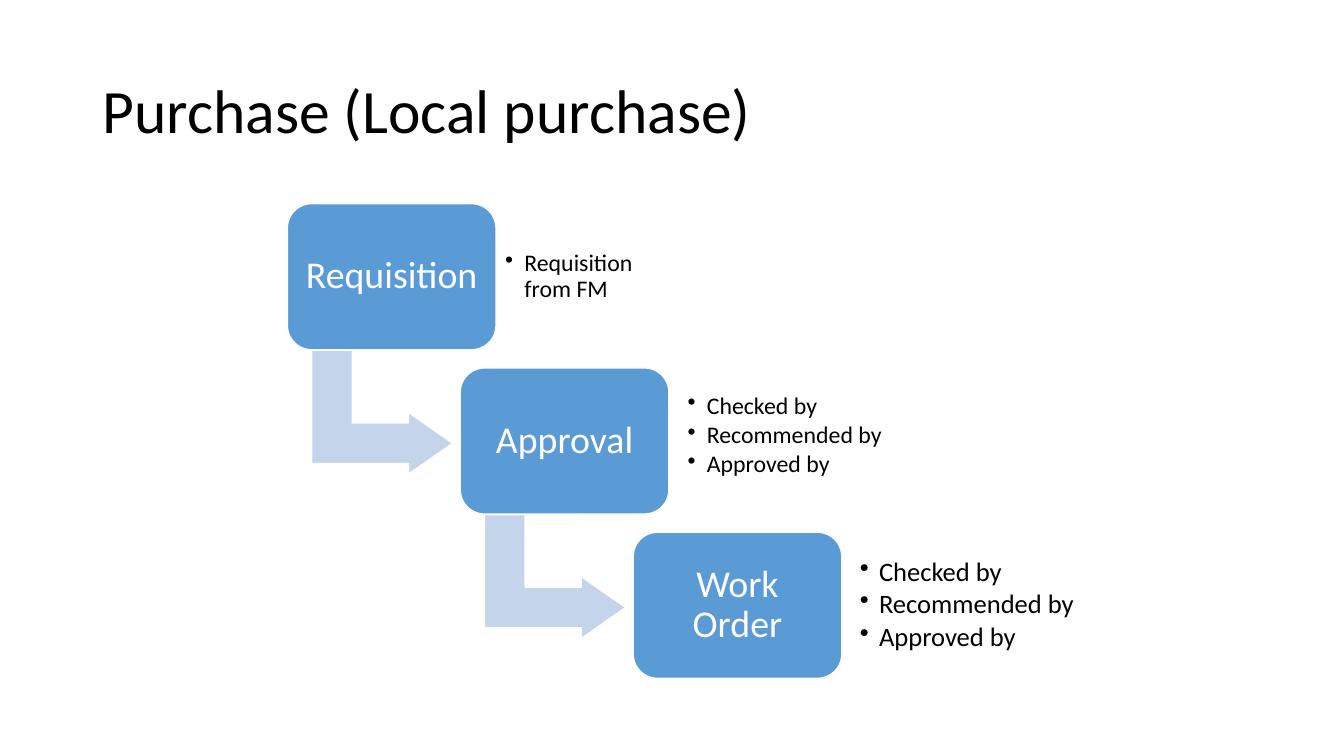
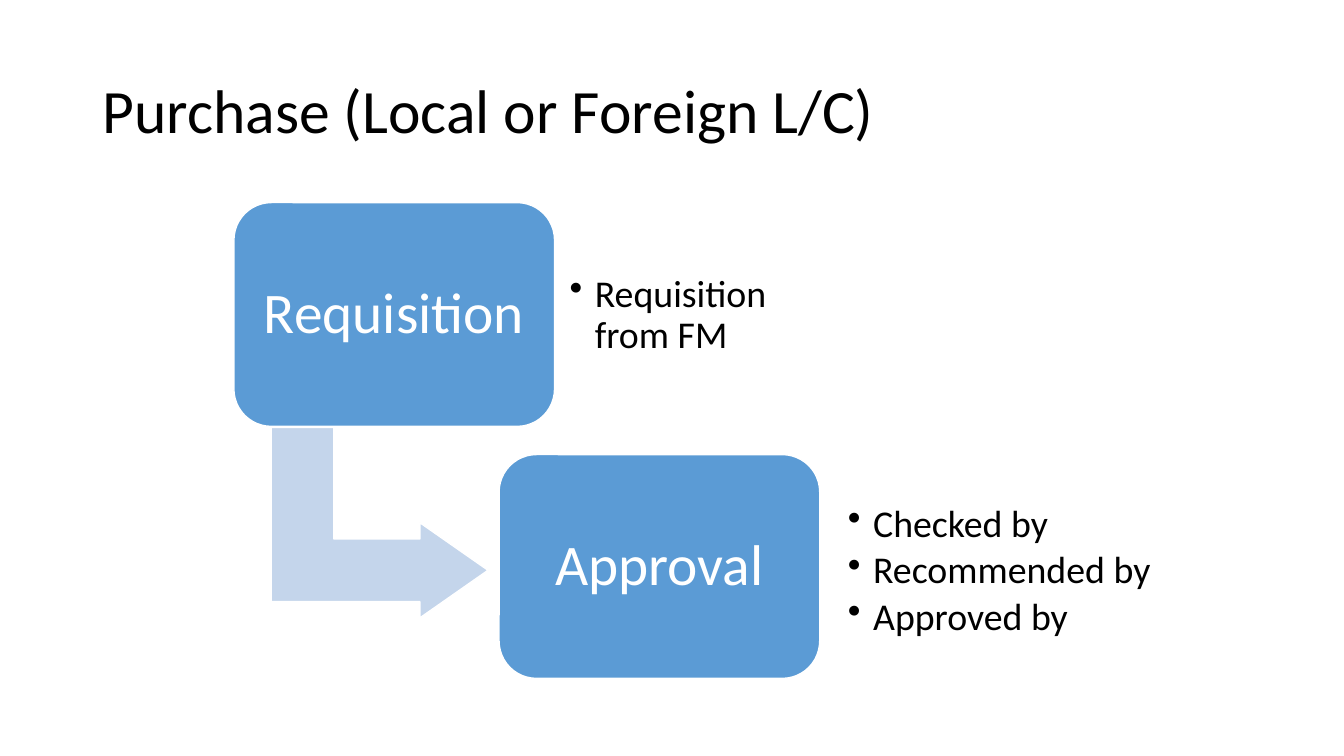
from lxml import etree
from pptx import Presentation, util as u
from pptx.dml.color import RGBColor
from pptx.enum import shapes, text
from pptx.oxml.ns import qn

FONT = "Calibri"
BLACK, WHITE, BLUE, PALE = "000000", "FFFFFF", "5B9BD5", "C4D5EB"
SIGNS = ["Checked by", "Recommended by", "Approved by"]
FLOWS = [
    {"title": "Purchase (Local purchase)", "start": (2.85, 2.02),
     "step": (1.715, 1.63), "box": (2.07, 1.45), "pad": 0.11, "size": 27,
     "arrow": (0.325, 1.37, 1.23, 1.4), "dent": 0.19, "high": 1.17,
     "steps": [
         ("Requisition", ["Requisition from FM"], (4.92, 2.16, 1.51), 17, 0.09),
         ("Approval", SIGNS, (6.73, 3.74, 2.45), 17, 0.09),
         ("Work Order", SIGNS, (8.43, 5.42, 2.78), 19, 0.1)]},
    {"title": "Purchase (Local or Foreign L/C)", "start": (2.32, 2.01),
     "step": (2.63, 2.5), "box": (3.18, 2.22), "pad": 0.17, "size": 41,
     "arrow": (0.5, 2.1, 1.89, 2.15), "dent": 0.25, "high": 1.8,
     "steps": [
         ("Requisition", ["Requisition from FM"], (5.5, 2.23, 2.31), 27, 0.15),
         ("Approval", SIGNS, (8.26, 4.77, 3.45), 27, 0.15)]},
]


def color(code):
    """Turn a hex string into a colour."""
    return RGBColor.from_string(code)


def write(shape, lines, size, ink, pads, align="LEFT", after=0):
    """Fill a shape with paragraphs of one style."""
    frame = shape.text_frame
    frame.word_wrap = True
    frame.vertical_anchor = text.MSO_ANCHOR.MIDDLE
    for side, pad in zip(("left", "right", "top", "bottom"), pads):
        setattr(frame, "margin_" + side, u.Inches(pad))
    frame.text = "\n".join(lines)
    style = {"alignment": getattr(text.PP_ALIGN, align),
             "line_spacing": 0.9, "space_after": u.Pt(size * after)}
    for para in frame.paragraphs:
        for name, value in style.items():
            setattr(para, name, value)
        para.font.name, para.font.size = FONT, u.Pt(size)
        para.font.color.rgb = color(ink)
    return frame


def label(slide, at, *args, **style):
    """Add a text box."""
    box = slide.shapes.add_textbox(*map(u.Inches, at))
    return write(box, *args, **style)


def block(slide, kind, at, fill, bends):
    """Add a filled preset shape with a thin white edge."""
    shape = slide.shapes.add_shape(kind, *map(u.Inches, at))
    shape.shadow.inherit = False
    shape.fill.solid()
    shape.fill.fore_color.rgb = color(fill)
    shape.line.color.rgb = color(WHITE)
    shape.line.width = u.Pt(1)
    for i, bend in enumerate(bends):
        shape.adjustments[i] = bend
    return shape


def bullets(frame, dent):
    """Give every paragraph a hanging bullet."""
    for para in frame.paragraphs:
        props = para._p.get_or_add_pPr()
        props.set("marL", str(u.Inches(dent)))
        props.set("indent", str(u.Inches(-dent)))
        etree.SubElement(props, qn("a:buChar")).set("char", "•")


def flow(slide, spec_):
    """Draw a title and a staircase of steps."""
    label(slide, (0.92, 0.4, 11.5, 1.45), [spec_["title"]], 44, BLACK,
          (0.1, 0.1, 0.05, 0.05))
    steps, kinds = spec_["steps"], shapes.MSO_SHAPE
    for i, (name, notes, spot, size, pad) in enumerate(steps):
        x, y = (a + i * b for a, b in zip(spec_["start"], spec_["step"]))
        if i < len(steps) - 1:
            dx, dy, wide, high = spec_["arrow"]
            arrow = block(slide, kinds.BENT_UP_ARROW,
                          (x + dx, y + dy, wide, high), PALE,
                          (0.328, 0.25, 0.358))
            arrow.rotation = 90
        box = block(slide, kinds.ROUNDED_RECTANGLE, (x, y, *spec_["box"]),
                    BLUE, (0.167,))
        write(box, [name], spec_["size"], WHITE, [spec_["pad"]] * 4,
              align="CENTER", after=0.35)
        frame = label(slide, (*spot, spec_["high"]), notes, size, BLACK,
                      [pad] * 4, after=0.15)
        bullets(frame, spec_["dent"])


def main():
    """Build and save the deck."""
    deck = Presentation()
    deck.slide_width, deck.slide_height = u.Inches(13.33), u.Inches(7.5)
    for plan in FLOWS:
        flow(deck.slides.add_slide(deck.slide_layouts[6]), plan)
    deck.save("out.pptx")


main()
